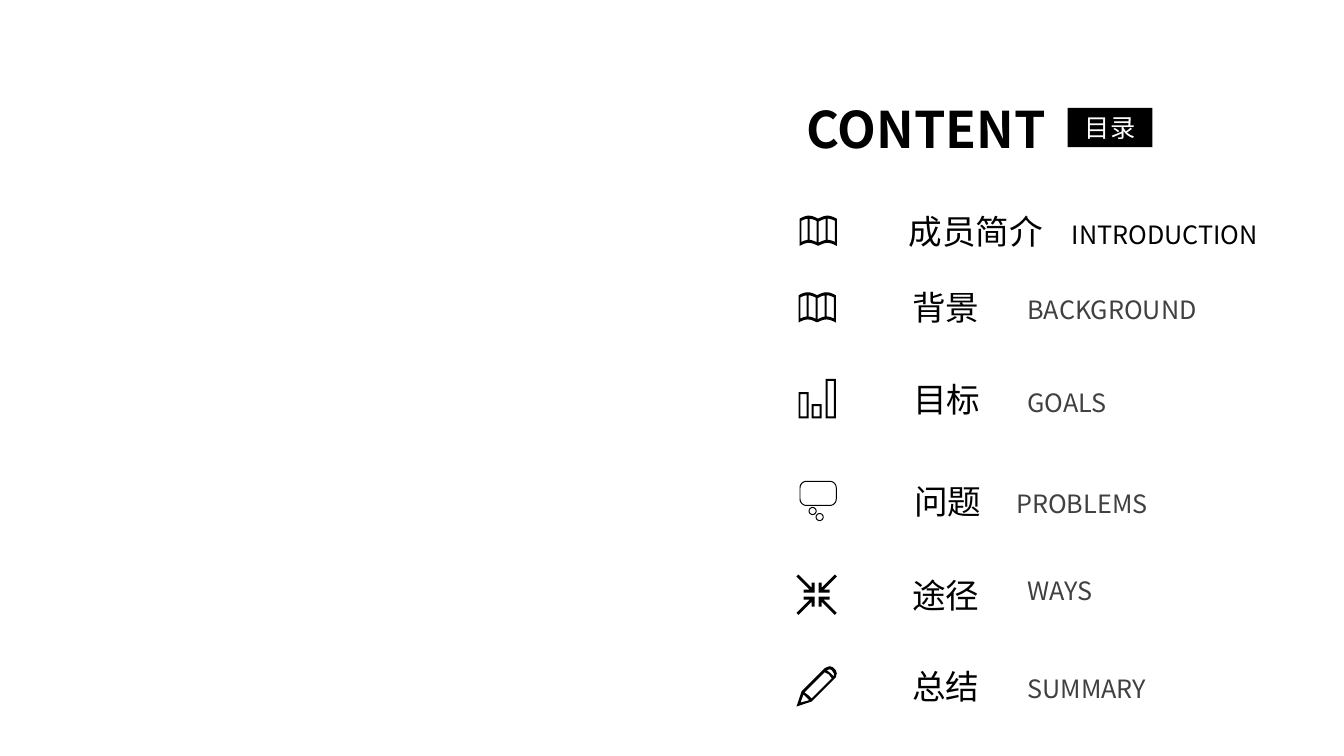
from math import cos, pi, radians, sin

from lxml.etree import SubElement
from pptx import Presentation
from pptx.dml.color import RGBColor
from pptx.enum.shapes import MSO_SHAPE
from pptx.enum.text import MSO_ANCHOR, MSO_AUTO_SIZE, PP_ALIGN
from pptx.oxml.ns import qn

PX = 9144
FONT = "Noto Sans CJK SC"
BLACK, GREY, WHITE = "000000", "404040", "FFFFFF"


def px(n):
    return round(n * PX)


def color(value):
    return RGBColor.from_string(value)


def paint(sp, fill):
    sp.shadow.inherit = False
    sp.fill.solid()
    sp.fill.fore_color.rgb = color(fill)
    sp.line.fill.background()


def add_run(p, text, size, ink, bold=False):
    r = p.add_run()
    r.text = text
    r.font.size = px(size * 100 / 72)
    r.font.bold = bold
    r.font.color.rgb = color(ink)
    r.font.name = FONT
    SubElement(r.font._element, qn("a:ea"), typeface=FONT)


def add_label(s, box, text, size, ink, align=PP_ALIGN.LEFT, inset=0, bold=False):
    tf = s.shapes.add_textbox(*map(px, box)).text_frame
    tf.word_wrap = True
    tf.auto_size = MSO_AUTO_SIZE.SHAPE_TO_FIT_TEXT
    tf.margin_left = tf.margin_right = px(inset)
    p = tf.paragraphs[0]
    p.alignment = align
    add_run(p, text, size, ink, bold)


def add_icon(s, left, top, contours):
    placed = [[(px(left + x), px(top + y)) for x, y in c] for c in contours]
    builder = s.shapes.build_freeform(*placed[0][0])
    builder.add_line_segments(placed[0][1:], close=True)
    for contour in placed[1:]:
        builder.move_to(*contour[0])
        builder.add_line_segments(contour[1:], close=True)
    paint(builder.convert_to_shape(), BLACK)


def rounded(left, top, right, bottom, radius):
    corners = [
        (right - radius, bottom - radius, 0),
        (left + radius, bottom - radius, 90),
        (left + radius, top + radius, 180),
        (right - radius, top + radius, 270),
    ]
    return [
        (x + radius * cos(radians(start + a)), y + radius * sin(radians(start + a)))
        for x, y, start in corners
        for a in range(0, 91, 15)
    ]


def rect(left, top, right, bottom):
    return [(left, top), (right, top), (right, bottom), (left, bottom)]


def map_icon():
    def wave(x):
        return 3 * abs(sin(2 * pi * x / 37))

    def sheet(left, right, top, bottom):
        xs = range(left, right + 1)
        return [(x, top - wave(x)) for x in xs] + [
            (x, bottom - wave(x)) for x in reversed(xs)
        ]

    panels = [(2, 8), (10, 17), (19, 26), (28, 35)]
    return [sheet(0, 37, 3, 30)] + [sheet(a, b, 6, 27) for a, b in panels]


def chart_icon():
    contours = []
    for left, top in [(0, 13), (13, 25), (27, 0)]:
        contours.append(rect(left, top, left + 10, 39))
        contours.append(rect(left + 2, top + 2, left + 8, 37))
    return contours


def bubble_icon():
    contours = [rounded(0, 0, 37, 25, 7), rounded(1, 1, 36, 24, 6)]
    for x, y in [(13, 30), (20, 36)]:
        for r in (4, 3):
            contours.append(rounded(x - r, y - r, x + r, y + r, r))
    return contours


def arrows_icon():
    arrow = [(7, 22), (18, 22), (18, 32), (15, 32), (15, 27),
             (2, 40), (0, 38), (13, 25), (7, 25)]
    return [
        [(20 + sx * (x - 20), 20 + sy * (y - 20)) for x, y in arrow]
        for sx in (1, -1)
        for sy in (1, -1)
    ]


def pencil_icon():
    outline = [(0, 40), (5, 25), (28, 2), (30, 1), (33, 0), (36, 1),
               (39, 4), (40, 7), (39, 11), (37, 13), (15, 35)]
    nib = [(7, 28), (4, 36), (12, 34), (12, 33), (8, 29)]
    body = [(28, 6), (8, 26), (12, 29), (15, 32), (35, 12), (32, 8)]
    end = [(33, 3), (30, 4), (34, 7), (37, 10), (37, 7), (35, 4)]
    return [outline, nib, body, end]


def heading(s, left, top):
    add_label(s, (left, top, 323, 71), "CONTENT", 36, BLACK, inset=10, bold=True)
    sp = s.shapes.add_shape(
        MSO_SHAPE.RECTANGLE, *map(px, (left + 269, top + 15, 84, 39)))
    paint(sp, BLACK)
    tf = sp.text_frame
    tf.vertical_anchor = MSO_ANCHOR.MIDDLE
    p = tf.paragraphs[0]
    p.alignment = PP_ALIGN.CENTER
    add_run(p, "目录", 18, WHITE)


def topic_row(s, left, top, icon, icon_at, topic, topic_dx, label, label_at, ink):
    add_icon(s, left + icon_at[0], top + icon_at[1], icon)
    add_label(s, (left + topic_dx, top, 186, 50), topic, 24, BLACK, PP_ALIGN.CENTER)
    add_label(s, (left + label_at[0], top + label_at[1], 268, 40), label, 18, ink)


ROWS = [
    (204, map_icon(), (3, 10), "成员简介", 85, "INTRODUCTION", (273, 9), BLACK),
    (280, map_icon(), (2, 10), "背景", 55, "BACKGROUND", (229, 7), GREY),
    (371, chart_icon(), (2, 5), "目标", 56, "GOALS", (229, 8), GREY),
    (472, bubble_icon(), (3, 5), "问题", 57, "PROBLEMS", (218, 8), GREY),
    (565, arrows_icon(), (0, 5), "途径", 55, "WAYS", (229, 1), GREY),
    (656, pencil_icon(), (0, 5), "总结", 55, "SUMMARY", (229, 7), GREY),
]


def contents_slide(prs):
    s = prs.slides.add_slide(prs.slide_layouts[6])
    heading(s, 790, 92)
    for row in ROWS:
        topic_row(s, 790, *row)


def main():
    prs = Presentation()
    prs.slide_width, prs.slide_height = px(1333), px(750)
    contents_slide(prs)
    prs.save("out.pptx")


if __name__ == "__main__":
    main()
